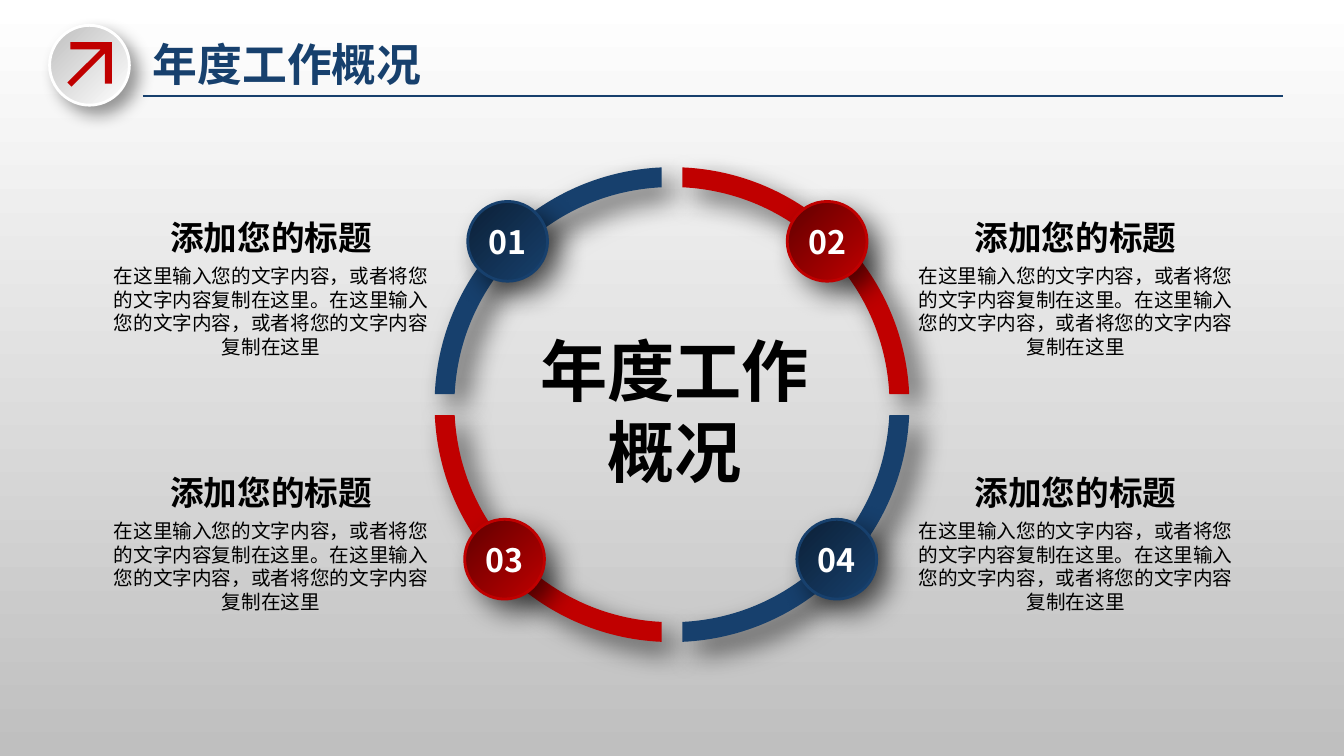
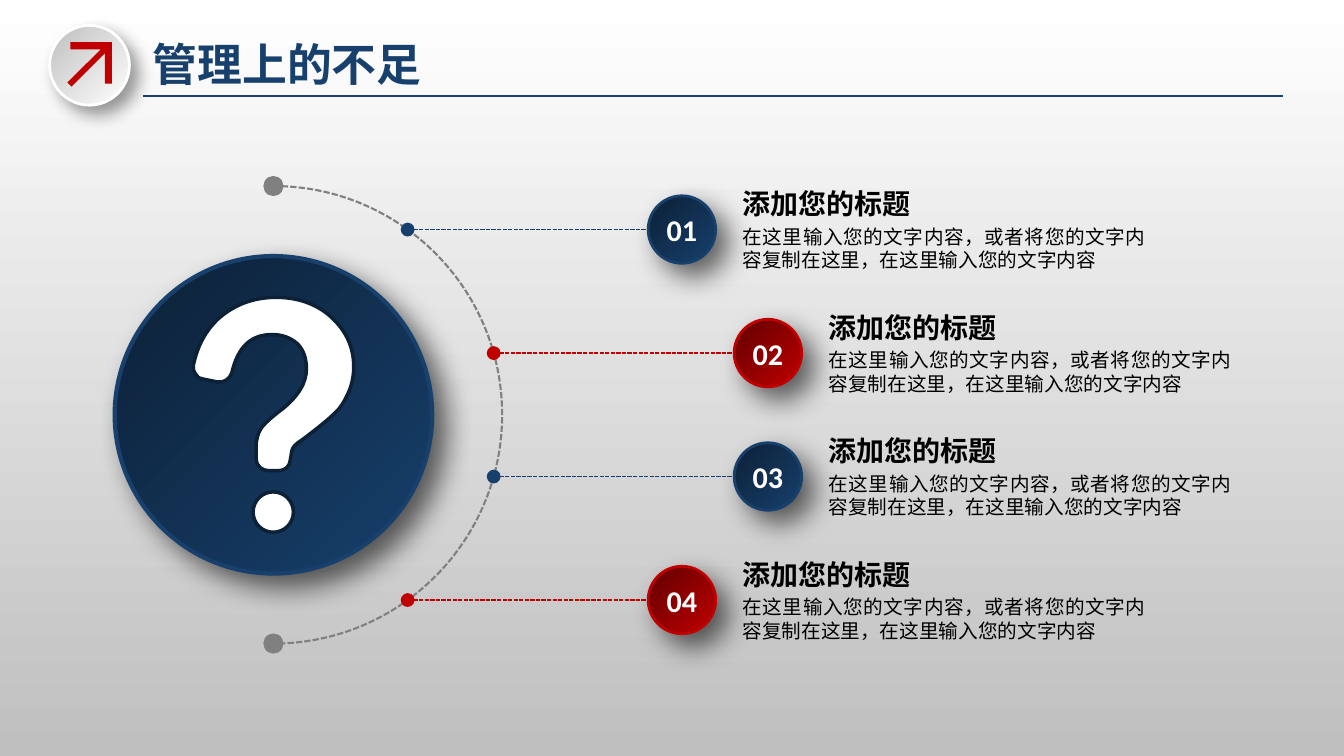
"""Build two business report slides: an annual overview ring and a list of shortcomings."""
from math import asin, cos, pi, sin, sqrt, tan

from pptx import Presentation
from pptx.dml.color import RGBColor
from pptx.enum.dml import MSO_LINE
from pptx.enum.shapes import MSO_CONNECTOR, MSO_SHAPE
from pptx.enum.text import MSO_ANCHOR, MSO_AUTO_SIZE, PP_ALIGN
from pptx.oxml.ns import qn
from pptx.util import Pt
from lxml import etree

OVAL = MSO_SHAPE.OVAL
STRAIGHT = MSO_CONNECTOR.STRAIGHT
DASH = MSO_LINE.SQUARE_DOT
MIDDLE = MSO_ANCHOR.MIDDLE
GROW = MSO_AUTO_SIZE.SHAPE_TO_FIT_TEXT
LEFT, CENTER, JUSTIFY = PP_ALIGN.LEFT, PP_ALIGN.CENTER, PP_ALIGN.JUSTIFY

COLORS = {
    "navy": "17406D", "navy_dark": "0C2036",
    "red": "C00000", "red_dark": "600000",
    "white": "FFFFFF", "silver": "BFBFBF",
    "gray": "808080", "black": "000000",
}
CJK_FONT, NUMBER_FONT = "Noto Sans CJK SC", "Calibri"
LINE_HEIGHT = 1.2
DEEP_SHADOW = (60, 20, 12)
ICON_SHADOW = (40, 12, 8)

HEADING = "添加您的标题"
RING_BODY = ("在这里输入您的文字内容，或者将您的文字内容复制在这里。"
             "在这里输入您的文字内容，或者将您的文字内容复制在这里")
LIST_BODY = "在这里输入您的文字内容，或者将您的文字内容复制在这里，在这里输入您的文字内容"

ICON_ARROW = [(74.9, 59.8), (74.9, 38.2), (51.1, 61.9), (48.2, 59), (72, 35.3),
              (50.4, 35.3), (50.4, 30.2), (79.9, 30.2), (79.9, 59.8)]
QUESTION_HOOK = [
    (248.4, 281.5),
    (245.5, 288, 241.9, 293, 238.3, 295.9),
    (234.7, 299.5, 226.8, 306, 215.3, 314.6),
    (211.7, 316.8, 209.5, 319, 208.8, 321.1),
    (208.1, 322.6, 208.1, 325.4, 207.4, 328.3),
    (207.4, 332.6, 203.8, 336.2, 199.4, 336.2),
    (191.5, 336.2),
    (187.2, 336.2, 182.9, 332.6, 182.9, 327.6),
    (182.9, 319.7),
    (182.9, 313.9, 184.3, 309.6, 186.5, 306),
    (188.6, 303.1, 193.7, 298.1, 201.6, 292.3),
    (213.1, 283, 218.9, 273.6, 218.9, 263.5),
    (218.9, 255.6, 216.7, 249.8, 212.4, 245.5),
    (207.4, 241.2, 201.6, 239, 194.4, 239),
    (179.3, 239, 169.9, 247.7, 165.6, 266.4),
    (164.2, 270.7, 159.8, 273.6, 155.5, 272.9),
    (144.7, 270.7),
    (142.6, 270.7, 140.4, 269.3, 139.7, 267.1),
    (138.2, 265, 137.5, 262.8, 138.2, 260.6),
    (141.1, 247, 146.9, 236.2, 156.2, 227.5),
    (167.8, 217.4, 181.4, 212.4, 197.3, 212.4),
    (213.1, 212.4, 226.8, 217.4, 236.9, 226.8),
    (247, 236.2, 252.7, 247.7, 252.7, 262.1),
    (252.7, 268.6, 251.3, 275.8, 248.4, 281.5),
]


def rgb(color):
    return RGBColor.from_string(COLORS[color])


def paint_gradient(fill, start, end, angle):
    fill.gradient()
    fill.gradient_angle = angle
    for stop, color in zip(fill.gradient_stops, (start, end)):
        stop.color.rgb = rgb(color)


def paint_solid(fill, color):
    fill.solid()
    fill.fore_color.rgb = rgb(color)


def set_line(line, color, width):
    line.color.rgb = rgb(color)
    line.width = Pt(width)


def cast_shadow(shape, strength):
    shape.shadow.inherit = False
    if strength is None:
        return
    alpha, blur, distance = strength
    effects = shape.element.spPr.find(qn("a:effectLst"))
    outer = etree.SubElement(effects, qn("a:outerShdw"), blurRad=str(Pt(blur)),
                             dist=str(Pt(distance)), dir=str(45 * 60000),
                             algn="tl", rotWithShape="0")
    tone = etree.SubElement(outer, qn("a:srgbClr"), val=COLORS["black"])
    etree.SubElement(tone, qn("a:alpha"), val=str(alpha * 1000))


def write_lines(frame, lines, size, color, bold, align, font):
    for index, text in enumerate(lines):
        paragraph = frame.paragraphs[0] if index == 0 else frame.add_paragraph()
        paragraph.alignment = align
        paragraph.line_spacing = Pt(round(size * LINE_HEIGHT, 1))
        run = paragraph.add_run()
        run.text = text
        run.font.size, run.font.bold, run.font.name = Pt(size), bold, font
        run.font.color.rgb = rgb(color)
        etree.SubElement(run.font._element, qn("a:ea"), typeface=CJK_FONT)


def add_text(slide, box, lines, size, color="black", bold=False, align=LEFT):
    frame = slide.shapes.add_textbox(*map(Pt, box)).text_frame
    frame.word_wrap = True
    frame.auto_size = GROW
    write_lines(frame, lines, size, color, bold, align, CJK_FONT)


def add_circle(slide, x, y, diameter, shadow=None):
    corner = (x - diameter / 2, y - diameter / 2)
    circle = slide.shapes.add_shape(OVAL, *map(Pt, (*corner, diameter, diameter)))
    cast_shadow(circle, shadow)
    return circle


def add_dot(slide, x, y, diameter, color):
    dot = add_circle(slide, x, y, diameter)
    paint_solid(dot.fill, color)
    dot.line.fill.background()


def add_disc(slide, x, y, diameter, color, border=2):
    disc = add_circle(slide, x, y, diameter, DEEP_SHADOW)
    paint_gradient(disc.fill, color, color + "_dark", 135)
    set_line(disc.line, color, border)
    return disc


def add_badge(slide, x, y, diameter, color, number, size, font):
    frame = add_disc(slide, x, y, diameter, color).text_frame
    frame.margin_left = frame.margin_right = frame.margin_top = frame.margin_bottom = 0
    frame.word_wrap = False
    frame.vertical_anchor = MIDDLE
    write_lines(frame, [f"{number:02d}"], size, "white", True, CENTER, font)


def add_outline(slide, contours, close=True):
    ends = [[tuple(map(Pt, step[-2:])) for step in contour] for contour in contours]
    builder = slide.shapes.build_freeform(*ends[0][0])
    for index, corners in enumerate(ends):
        if index:
            builder.move_to(*corners[0])
        builder.add_line_segments(corners[1:], close=close)
    outline = builder.convert_to_shape()
    cast_shadow(outline, None)
    steps = [step for contour in contours for step in contour[1:]]
    segments = list(outline.element.spPr.iter(qn("a:lnTo")))
    for step, segment in zip(steps, segments):
        if len(step) == 6:
            bend_segment(segment, step, outline.left, outline.top)
    return outline


def bend_segment(segment, step, left, top):
    curve = etree.Element(qn("a:cubicBezTo"))
    for x, y in zip(step[::2], step[1::2]):
        etree.SubElement(curve, qn("a:pt"), x=str(Pt(x) - left), y=str(Pt(y) - top))
    segment.getparent().replace(segment, curve)


def add_filled_outline(slide, contour, color, shadow=None):
    outline = add_outline(slide, [contour])
    paint_solid(outline.fill, color)
    outline.line.fill.background()
    cast_shadow(outline, shadow)


def add_rule(slide, start, end, color):
    rule = slide.shapes.add_connector(STRAIGHT, *map(Pt, (*start, *end)))
    set_line(rule.line, color, 1)
    etree.SubElement(rule.element.spPr, qn("a:effectLst"))
    return rule


def add_leader(slide, start, end, color):
    leader = add_rule(slide, start, end, color)
    leader.line.dash_style = DASH
    line = leader.element.spPr.find(qn("a:ln"))
    etree.SubElement(line, qn("a:headEnd"), type="oval", w="lg", len="lg")


def arc_contour(x, y, radius, first, last, side_x=1, side_y=1):
    reach = radius * 4 / 3 * tan((last - first) / 4)

    def place(angle, pull):
        return (x + side_x * (radius * cos(angle) - pull * sin(angle)),
                y + side_y * (radius * sin(angle) + pull * cos(angle)))

    return [place(first, 0), place(first, reach) + place(last, -reach) + place(last, 0)]


def circle_contour(x, y, radius):
    quarters = [arc_contour(x, y, radius, i * pi / 2, (i + 1) * pi / 2) for i in range(4)]
    return [quarters[0][0]] + [curve for _, curve in quarters]


def quarter_contour(x, y, side_x, side_y, outer=169.6, inner=155.4, half_gap=7.5):
    trim_out, trim_in = asin(half_gap / outer), asin(half_gap / inner)
    return (arc_contour(x, y, outer, trim_out, pi / 2 - trim_out, side_x, side_y)
            + arc_contour(x, y, inner, pi / 2 - trim_in, trim_in, side_x, side_y))


def add_page(deck, title):
    slide = deck.slides.add_slide(deck.slide_layouts[6])
    paint_gradient(slide.background.fill, "silver", "white", 90)
    icon = add_circle(slide, 63.9, 46.6, 57, ICON_SHADOW)
    paint_gradient(icon.fill, "white", "silver", 135)
    set_line(icon.line, "white", 2)
    add_filled_outline(slide, ICON_ARROW, "red")
    add_text(slide, (102, 23, 430, 46), [title], 32, "navy", True)
    add_rule(slide, (102, 68.7), (916.2, 68.7), "navy")
    return slide


def build_overview(deck):
    slide = add_page(deck, "年度工作概况")
    center = (480, 289)
    quarters = [
        (-1, -1, "navy", (362.6, 172.4)),
        (1, -1, "red", (590.8, 172.4)),
        (-1, 1, "red", (360.4, 399.4)),
        (1, 1, "navy", (597.7, 399.4)),
    ]
    for side_x, side_y, color, _ in quarters:
        add_filled_outline(slide, quarter_contour(*center, side_x, side_y), color, DEEP_SHADOW)
    for number, (side_x, side_y, color, spot) in enumerate(quarters, 1):
        add_badge(slide, *spot, 57, color, number, 23, CJK_FONT)
        left = 73.6 if side_x < 0 else 648.3
        top = 151.2 if side_y < 0 else 333.2
        add_text(slide, (left, top + 34, 240, 75), [RING_BODY], 14, align=CENTER)
        add_text(slide, (left + 15, top, 210, 36), [HEADING], 24, bold=True, align=CENTER)
    add_text(slide, (321, 232, 322, 124), ["年度工作", "概况"], 48, bold=True, align=CENTER)


def build_shortcomings(deck):
    slide = add_page(deck, "管理上的不足")
    center_x, center_y, orbit = 195.3, 296.3, 163.4
    add_disc(slide, center_x, center_y, 226.8, "navy", 3)
    upper, lower = (arc_contour(center_x, center_y, orbit, first, first + pi / 2)
                    for first in (-pi / 2, 0))
    half_orbit = add_outline(slide, [upper + lower[1:]], close=False)
    half_orbit.fill.background()
    set_line(half_orbit.line, "gray", 1.5)
    half_orbit.line.dash_style = DASH
    question = add_outline(slide, [QUESTION_HOOK, circle_contour(195.2, 365.8, 14.4)])
    paint_solid(question.fill, "white")
    set_line(question.line, "navy_dark", 2.5)
    for side in (-1, 1):
        add_dot(slide, center_x, center_y + side * orbit, 14.4, "gray")

    badge, leader_length, pitch = 48.2, 171.8, 88.2
    for index, color in enumerate(("navy", "red", "navy", "red")):
        rise = (index - 1.5) * pitch
        y = center_y + rise
        start = center_x + sqrt(orbit ** 2 - rise ** 2)
        badge_left = start + leader_length
        add_leader(slide, (start, y), (badge_left, y), color)
        add_badge(slide, badge_left + badge / 2, y, badge, color, index + 1, 21.5, NUMBER_FONT)
        text_left = badge_left + 60.3
        add_text(slide, (text_left, y - 34.2, 302, 31.7), [HEADING], 20, bold=True)
        add_text(slide, (text_left, y - 7.2, 302, 41), [LIST_BODY], 14, align=JUSTIFY)


def main():
    deck = Presentation()
    deck.slide_width, deck.slide_height = Pt(960), Pt(540)
    build_overview(deck)
    build_shortcomings(deck)
    deck.save("out.pptx")


if __name__ == "__main__":
    main()
